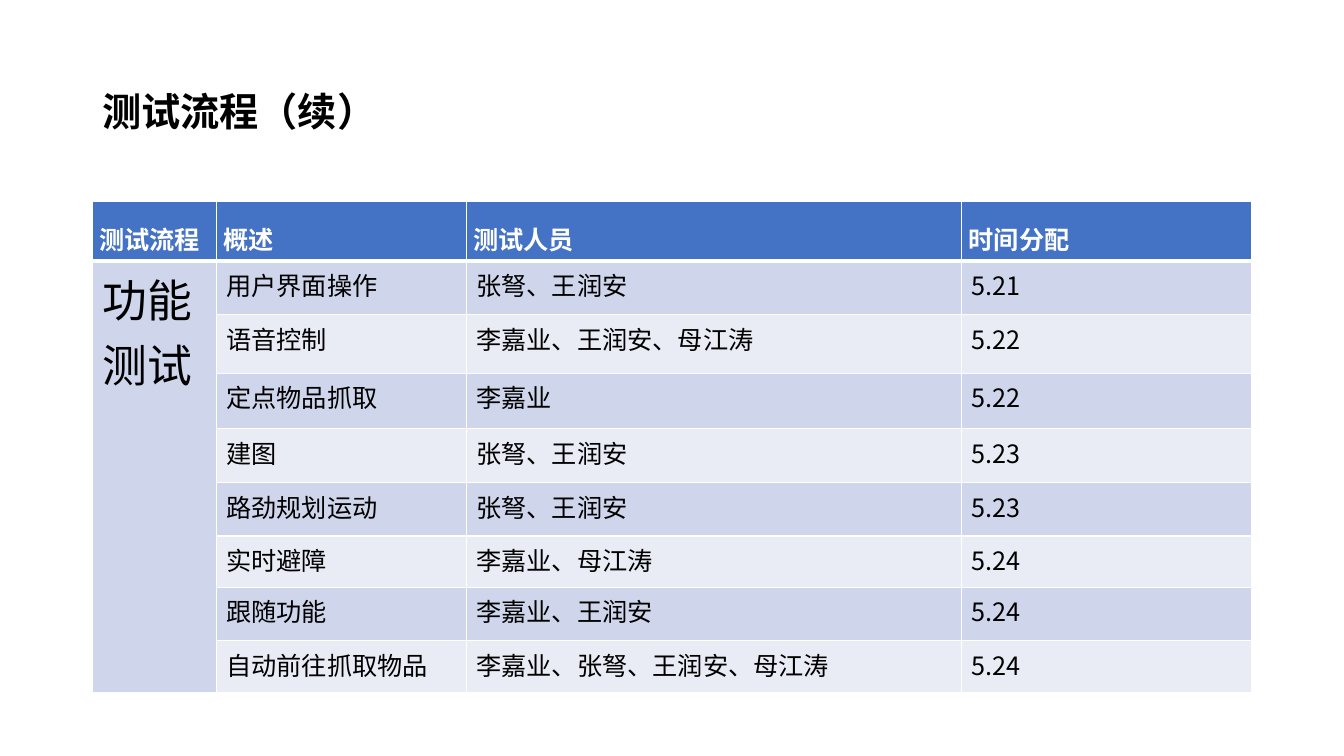
from lxml.etree import SubElement
from pptx import Presentation
from pptx.dml.color import RGBColor
from pptx.enum.text import MSO_ANCHOR, PP_ALIGN
from pptx.oxml.ns import qn
from pptx.util import Pt

# Content
TITLE = "测试流程（续）"
HEADERS = ["测试流程", "概述", "测试人员", "时间分配"]
STAGE = "功能测试"
TESTS = [
    ("用户界面操作", "张弩、王润安", "5.21"),
    ("语音控制", "李嘉业、王润安、母江涛", "5.22"),
    ("定点物品抓取", "李嘉业", "5.22"),
    ("建图", "张弩、王润安", "5.23"),
    ("路劲规划运动", "张弩、王润安", "5.23"),
    ("实时避障", "李嘉业、母江涛", "5.24"),
    ("跟随功能", "李嘉业、王润安", "5.24"),
    ("自动前往抓取物品", "李嘉业、张弩、王润安、母江涛", "5.24"),
]

# Layout and formats
LEFT, WIDTH = 66, 828
TITLE_TOP, TITLE_HEIGHT, TABLE_TOP = 28.75, 104.4, 144
COLUMN_WIDTHS = [88.5, 178.5, 354, 207]
ROW_HEIGHTS = [42.3, 38.6, 41.8, 39.6, 38.6, 38, 36.7, 38.2, 36.7]
FONT = "Noto Sans CJK SC"
BLACK, WHITE, BLUE = "000000", "FFFFFF", "4472C4"
BANDS = ["CFD5EA", "E9EBF5"]
TITLE_FONT = {"size": Pt(28), "bold": True}
HEADER_FONT = {"size": Pt(18), "bold": True}
STAGE_FONT = {"size": Pt(32), "bold": False}
BODY_FONT = {"size": Pt(18), "bold": False}
TITLE_PARAGRAPH = {"line_spacing": 0.9}
HEADER_PARAGRAPH = {"line_spacing": 1.5, "alignment": PP_ALIGN.JUSTIFY}
HEADER_CELL = {"margin_left": Pt(5), "margin_right": Pt(5),
               "margin_top": 0, "margin_bottom": 0}


def color(value):
    return RGBColor.from_string(value)


def apply(target, values):
    for name, value in values.items():
        setattr(target, name, value)


def write(frame, text, font_format, text_color, paragraph_format):
    paragraph = frame.paragraphs[0]
    apply(paragraph, paragraph_format)
    run = paragraph.add_run()
    run.text = text
    apply(run.font, {"name": FONT, **font_format})
    run.font.color.rgb = color(text_color)
    SubElement(run.font._element, qn("a:ea"), typeface=FONT)


def style_cell(cell, fill, row):
    properties = cell._tc.get_or_add_tcPr()
    widths = {"L": 1, "R": 1, "T": 3 if row == 1 else 1, "B": 3 if row == 0 else 1}
    for side, width in widths.items():
        line = SubElement(properties, qn("a:ln" + side), w=str(Pt(width)))
        solid = SubElement(line, qn("a:solidFill"))
        SubElement(solid, qn("a:srgbClr"), val=WHITE)
    cell.fill.solid()
    cell.fill.fore_color.rgb = color(fill)


presentation = Presentation()
presentation.slide_width, presentation.slide_height = Pt(960), Pt(540)
slide = presentation.slides.add_slide(presentation.slide_layouts[6])

# Title
title = slide.shapes.add_textbox(Pt(LEFT), Pt(TITLE_TOP), Pt(WIDTH), Pt(TITLE_HEIGHT))
apply(title.text_frame, {"word_wrap": True, "vertical_anchor": MSO_ANCHOR.MIDDLE})
write(title.text_frame, TITLE, TITLE_FONT, BLACK, TITLE_PARAGRAPH)

# Table grid
table = slide.shapes.add_table(
    len(ROW_HEIGHTS), len(COLUMN_WIDTHS), Pt(LEFT), Pt(TABLE_TOP),
    Pt(WIDTH), Pt(sum(ROW_HEIGHTS))).table
for column, width in zip(table.columns, COLUMN_WIDTHS):
    column.width = Pt(width)
for row, height in zip(table.rows, ROW_HEIGHTS):
    row.height = Pt(height)
for row in range(len(ROW_HEIGHTS)):
    for column in range(len(COLUMN_WIDTHS)):
        band = BANDS[0] if column == 0 else BANDS[(row - 1) % 2]
        style_cell(table.cell(row, column), BLUE if row == 0 else band, row)

# Header row
for column, header in enumerate(HEADERS):
    cell = table.cell(0, column)
    apply(cell, HEADER_CELL)
    write(cell.text_frame, header, HEADER_FONT, WHITE, HEADER_PARAGRAPH)

# Stage column, merged over all tests
stage_cell = table.cell(1, 0)
stage_cell.merge(table.cell(len(TESTS), 0))
write(stage_cell.text_frame, STAGE, STAGE_FONT, BLACK, {})

# Test rows
for row, test in enumerate(TESTS, start=1):
    for column, text in enumerate(test, start=1):
        write(table.cell(row, column).text_frame, text, BODY_FONT, BLACK, {})

presentation.save("out.pptx")
